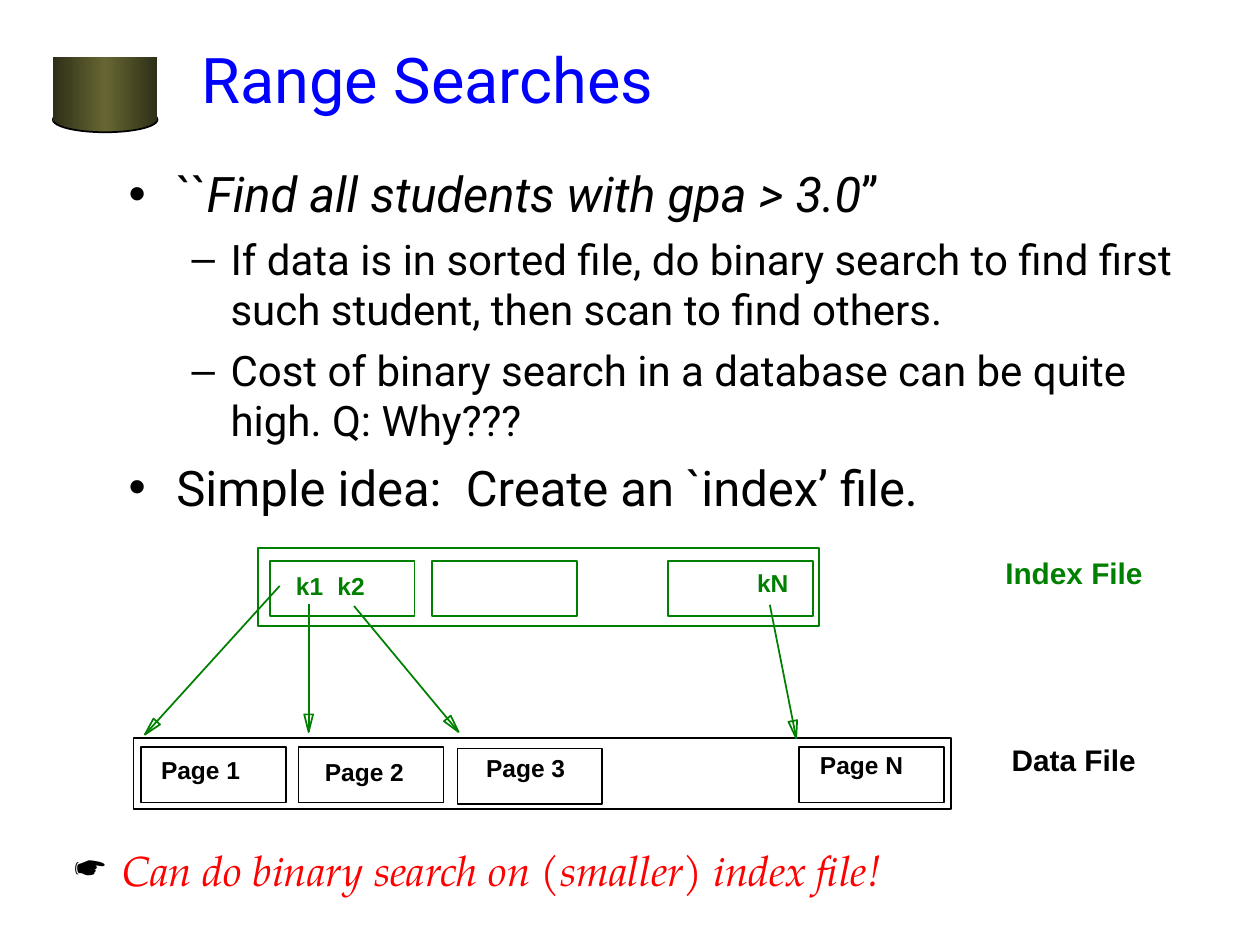
"""Build the Range Searches slide: bullets above an index file pointing to data pages."""
from math import hypot
from lxml.etree import SubElement
from pptx import Presentation
from pptx.dml.color import RGBColor
from pptx.enum.shapes import MSO_CONNECTOR, MSO_SHAPE
from pptx.enum.text import MSO_ANCHOR, MSO_AUTO_SIZE, PP_ALIGN
from pptx.oxml.ns import qn
from pptx.util import Inches, Pt

TITLE = "Range Searches"
BODY = [
    (0, [("``", False), ("Find all students with gpa > 3.0", True), ("’’", False)]),
    (1, [("If data is in sorted file, do binary search to find first such student, then scan to find others.", False)]),
    (1, [("Cost of binary search in a database can be quite high. Q: Why???", False)]),
    (0, [("Simple idea:  Create an `index’ file.", False)]),
]
NOTE = "Can do binary search on (smaller) index file!"
FILES = [
    ("black", (1.06, 5.86, 6.49, 0.56), [(1.12, 5.93), (2.37, 5.93), (3.63, 5.94), (6.34, 5.93)]),
    ("green", (2.05, 4.35, 4.45, 0.62), [(2.14, 4.45), (3.43, 4.45), (5.3, 4.45)]),
]
LABELS = [
    ("Page 1", "black", "label", (1.18, 5.94, 0.83, 0.33)),
    ("Page 2", "black", "label", (2.48, 5.96, 0.83, 0.33)),
    ("Page 3", "black", "label", (3.76, 5.93, 0.83, 0.33)),
    ("Page N", "black", "label", (6.41, 5.9, 0.86, 0.33)),
    ("Data File", "black", "file", (7.93, 5.84, 1.19, 0.38)),
    ("k1", "green", "label", (2.25, 4.48, 0.42, 0.33)),
    ("k2", "green", "label", (2.58, 4.48, 0.42, 0.33)),
    ("kN", "green", "label", (5.91, 4.46, 0.45, 0.33)),
    ("Index File", "green", "file", (7.88, 4.35, 1.29, 0.38)),
]
ARROWS = [
    ((2.22, 4.65), (1.15, 5.83)),
    ((2.45, 4.79), (2.45, 5.81)),
    ((2.81, 4.81), (3.64, 5.81)),
    ((6.11, 4.8), (6.32, 5.86)),
]
CELL = (1.15, 0.44)
HEAD = (0.14, 0.035)
LEVELS = [("•", 0.38, 0.38, 7, "body"), ("–", 0.81, 0.31, 6, "sub")]
THEME = {
    "color": {"black": "000000", "green": "008000", "blue": "0000FF", "red": "FF0000",
              "dark": "2F2F18", "olive": "666633"},
    "size": {"title": 36, "body": 28, "sub": 24, "note": 24, "label": 14, "file": 17},
    "font": {"main": "Roboto", "label": "Arial", "note": "TeX Gyre Pagella"},
}


def color(name):
    return RGBColor.from_string(THEME["color"][name])


def style(para, face, size, tint, bold=False, italic=False):
    font = para.font
    font.name, font.size = THEME["font"][face], Pt(THEME["size"][size])
    font.color.rgb, font.bold, font.italic = color(tint), bold, italic


def bullet(para, mark, left, hang):
    props = para._p.get_or_add_pPr()
    props.set("marL", str(Inches(left)))
    props.set("indent", str(-Inches(hang)))
    tint = SubElement(props, qn("a:buClr"))
    SubElement(tint, qn("a:srgbClr"), val=THEME["color"]["black"])
    SubElement(props, qn("a:buChar"), char=mark)


def place(shape, box):
    shape.left, shape.top, shape.width, shape.height = map(Inches, box)


def outline(shape, tint):
    shape.shadow.inherit = False
    shape.fill.background()
    shape.line.color.rgb = color(tint)
    shape.line.width = Pt(1)


def frame(shapes, box, tint):
    outline(shapes.add_shape(MSO_SHAPE.RECTANGLE, *map(Inches, box)), tint)


def label(shapes, box, text):
    area = shapes.add_textbox(*map(Inches, box)).text_frame
    area.word_wrap = False
    para = area.paragraphs[0]
    para.text = text
    return para


def arrow(shapes, start, end):
    (x, y), (tip, low) = start, end
    line = shapes.add_connector(MSO_CONNECTOR.STRAIGHT, *map(Inches, (x, y, tip, low)))
    line.line.color.rgb, line.line.width = color("green"), Pt(1)
    SubElement(line._element.spPr, qn("a:effectLst"))
    span = hypot(tip - x, low - y)
    dx, dy = (tip - x) / span, (low - y) / span
    size, half = HEAD
    base = [(tip - size * dx - side * dy, low - size * dy + side * dx) for side in (half, -half)]
    pen = shapes.build_freeform(Inches(tip), Inches(low))
    pen.add_line_segments([tuple(map(Inches, point)) for point in base], close=True)
    outline(pen.convert_to_shape(), "green")


def drum(shapes):
    parts = [(MSO_SHAPE.OVAL, (0.42, 0.85, 0.83, 0.2)), (MSO_SHAPE.RECTANGLE, (0.42, 0.45, 0.83, 0.51))]
    for kind, box in parts:
        part = shapes.add_shape(kind, *map(Inches, box))
        outline(part, "black")
        part.fill.gradient()
        part.fill.gradient_angle = 0
        stops = part.fill._fill._gradFill.gsLst
        for stop in list(stops):
            stops.remove(stop)
        for pos, tint in ((0, "dark"), (50000, "olive"), (100000, "dark")):
            stop = SubElement(stops, qn("a:gs"), pos=str(pos))
            SubElement(stop, qn("a:srgbClr"), val=THEME["color"][tint])
    part.line.fill.background()


def words(slide):
    title, body = slide.shapes.title, slide.placeholders[1]
    place(title, (1.5, 0, 8.5, 1.25))
    place(body, (0.92, 1.25, 8.67, 5.5))
    for shape in (title, body):
        shape.text_frame.auto_size = MSO_AUTO_SIZE.NONE
    area = title.text_frame
    area.text, area.vertical_anchor = TITLE, MSO_ANCHOR.MIDDLE
    area.paragraphs[0].alignment = PP_ALIGN.LEFT
    style(area.paragraphs[0], "main", "title", "blue")
    area = body.text_frame
    for pos, (level, runs) in enumerate(BODY):
        para = area.add_paragraph() if pos else area.paragraphs[0]
        mark, left, hang, gap, size = LEVELS[level]
        para.level = level
        para.space_before = Pt(gap if pos else 0)
        bullet(para, mark, left, hang)
        style(para, "main", size, "black")
        for text, slant in runs:
            run = para.add_run()
            run.text = text
            if slant:
                run.font.italic = True


def main():
    deck = Presentation()
    deck.slide_width, deck.slide_height = Inches(10), Inches(7.5)
    slide = deck.slides.add_slide(deck.slide_layouts[1])
    shapes = slide.shapes
    drum(shapes)
    words(slide)
    note = label(shapes, (0.49, 6.65, 7.39, 0.5), NOTE)
    bullet(note, "☛", 0.38, 0.38)
    style(note, "note", "note", "red", italic=True)
    for tint, box, cells in FILES:
        for cell in cells:
            frame(shapes, cell + CELL, tint)
        frame(shapes, box, tint)
    for start, end in ARROWS:
        arrow(shapes, start, end)
    for text, tint, size, box in LABELS:
        style(label(shapes, box, text), "label", size, tint, bold=True)
    deck.save("out.pptx")


if __name__ == "__main__":
    main()
